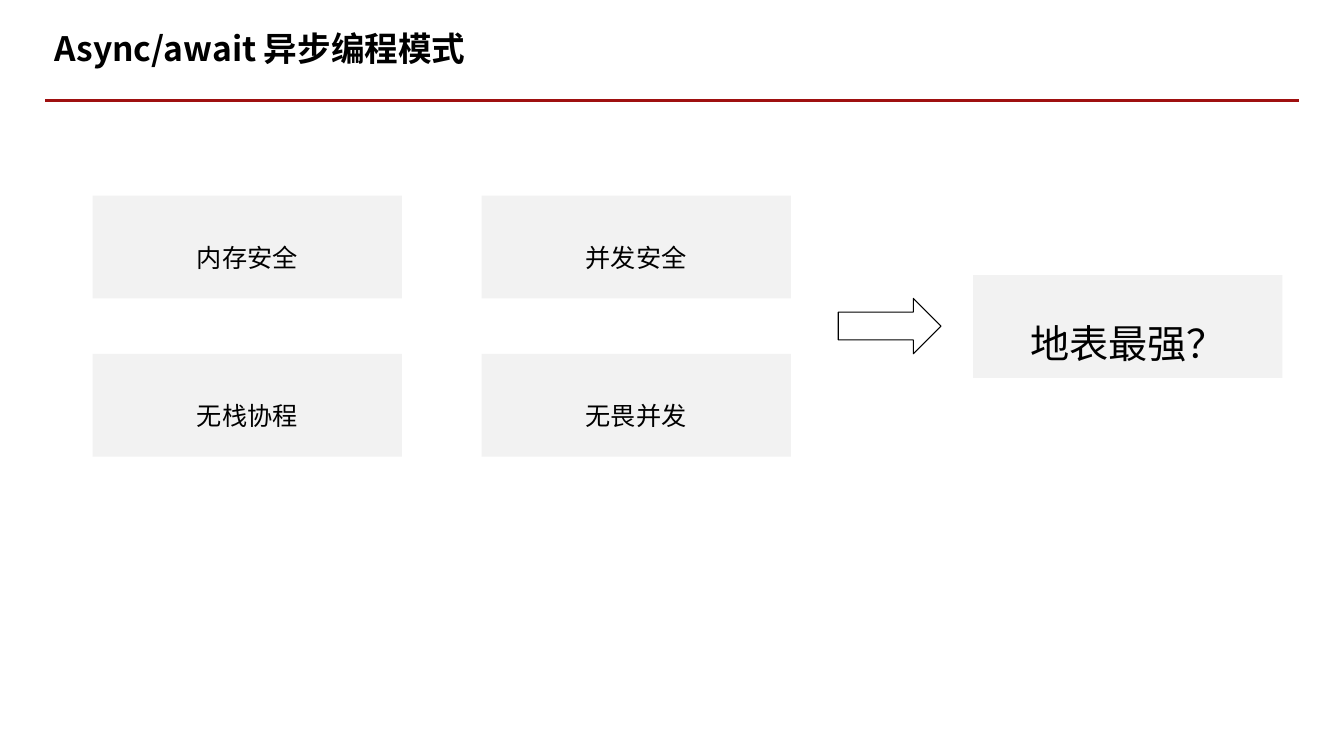
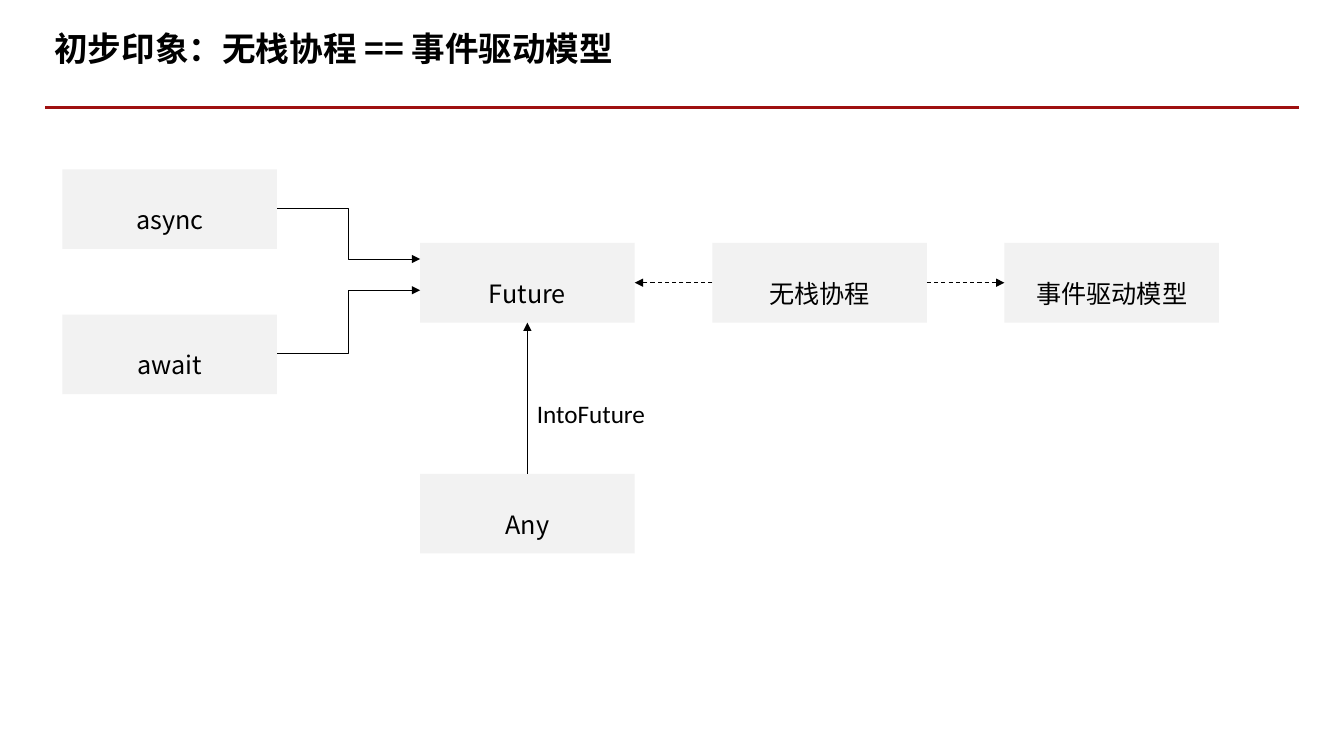
from lxml import etree
from pptx import Presentation
from pptx.dml.color import RGBColor
from pptx.enum.dml import MSO_LINE
from pptx.enum.shapes import MSO_CONNECTOR, MSO_SHAPE
from pptx.enum.text import MSO_ANCHOR, MSO_AUTO_SIZE, PP_ALIGN
from pptx.oxml.ns import qn
from pptx.util import Pt

PX = 9144  # 100 px to the inch
BLACK, RED, GREY = "000000", "9F1010", "F2F2F2"
SANS, LATIN = "Noto Sans CJK SC", "Calibri"
RECT, ARROW = MSO_SHAPE.RECTANGLE, MSO_SHAPE.RIGHT_ARROW
LINE, ELBOW = MSO_CONNECTOR.STRAIGHT, MSO_CONNECTOR.ELBOW
DASH = MSO_LINE.DASH
LEFT, CENTER = PP_ALIGN.LEFT, PP_ALIGN.CENTER
TOP, MIDDLE = MSO_ANCHOR.TOP, MSO_ANCHOR.MIDDLE
FIXED, GROW = MSO_AUTO_SIZE.NONE, MSO_AUTO_SIZE.SHAPE_TO_FIT_TEXT


def write(shape, text, size, align, space, anchor, face=SANS, bold=False):
    frame = shape.text_frame
    frame.text = text
    frame.vertical_anchor = anchor
    para = frame.paragraphs[0]
    para.alignment, para.line_spacing = align, space
    font = para.font
    font.name, font.size, font.bold = face, Pt(size), bold
    font.color.rgb = RGBColor.from_string(BLACK)
    # East Asian text takes its own typeface
    etree.SubElement(font._element, qn("a:ea")).set("typeface", face)


def connect(slide, kind, ends, color=BLACK, width=0.75, head=True):
    link = slide.shapes.add_connector(kind, *[v * PX for v in ends])
    link.line.color.rgb = RGBColor.from_string(color)
    link.line.width = Pt(width)
    if head:
        tail = etree.SubElement(link.line._get_or_add_ln(), qn("a:tailEnd"))
        tail.set("type", "triangle")
    etree.SubElement(link._element.spPr, qn("a:effectLst"))
    return link


deck = Presentation()
deck.slide_width, deck.slide_height = 1334 * PX, 750 * PX

# Each page: title, title width, rule height, box size, boxes (text, x, y, size)
COL, ROW = (92, 478), (194, 351)
grid = ["内存安全", "并发安全", "无栈协程", "无畏并发"]
claims = [(t, COL[i % 2], ROW[i // 2], 18) for i, t in enumerate(grid)]
claims.append(("地表最强？", 966, 273, 28))

chain = ["Future", "无栈协程", "事件驱动模型"]
flow = [("async", 62, 168, 18), ("await", 62, 312, 18), ("Any", 417, 470, 18)]
flow += [(t, 417 + 290 * i, 241, 18) for i, t in enumerate(chain)]

PAGES = [
    ("Async/await 异步编程模式", 1260, 100, (307, 102), claims),
    ("初步印象：无栈协程 == 事件驱动模型", 1213, 107, (213, 79), flow),
]

slides, boxes = [], {}
for name, span, rule, (w, h), items in PAGES:
    slide = deck.slides.add_slide(deck.slide_layouts[5])
    slides.append(slide)

    # Title and red rule
    title = slide.shapes.title
    title.left, title.top = 44 * PX, 27 * PX
    title.width, title.height = span * PX, 59 * PX
    write(title, name, 24, LEFT, 0.9, TOP, bold=True)
    title.text_frame.auto_size = FIXED
    connect(slide, LINE, (45, rule, 1289, rule), RED, 2.25, head=False)

    # Grey boxes
    for text, x, y, size in items:
        box = slide.shapes.add_shape(RECT, x * PX, y * PX, w * PX, h * PX)
        box.shadow.inherit = False
        box.fill.solid()
        box.fill.fore_color.rgb = RGBColor.from_string(GREY)
        box.line.fill.background()
        write(box, text, size, CENTER, 1.7, MIDDLE)
        boxes[text] = box

first, second = slides

# Block arrow to the claim
arrow = first.shapes.add_shape(ARROW, 832 * PX, 296 * PX, 102 * PX, 55 * PX)
arrow.shadow.inherit = False
arrow.fill.background()
arrow.line.color.rgb = RGBColor.from_string(BLACK)
arrow.line.width = Pt(0.75)

# Elbows from the keywords into Future
for ends in [(275, 207, 417, 257), (275, 351, 417, 288)]:
    connect(second, ELBOW, ends)

# Straight links: from, side, to, side, dash; boxes (last built) give the ends
LINKS = [
    ("Any", 0, "Future", 2, None),
    ("无栈协程", 1, "Future", 3, DASH),
    ("无栈协程", 3, "事件驱动模型", 1, DASH),
]
for start, out, end, into, dash in LINKS:
    link = connect(second, LINE, (0, 0, 0, 0))
    link.begin_connect(boxes[start], out)
    link.end_connect(boxes[end], into)
    if dash:
        link.line.dash_style = dash

# Label on the upward arrow
label = second.shapes.add_textbox(523 * PX, 390 * PX, 129 * PX, 40 * PX)
write(label, "IntoFuture", 18, LEFT, 1.0, TOP, LATIN)
label.text_frame.word_wrap = False
label.text_frame.auto_size = GROW

deck.save("out.pptx")
